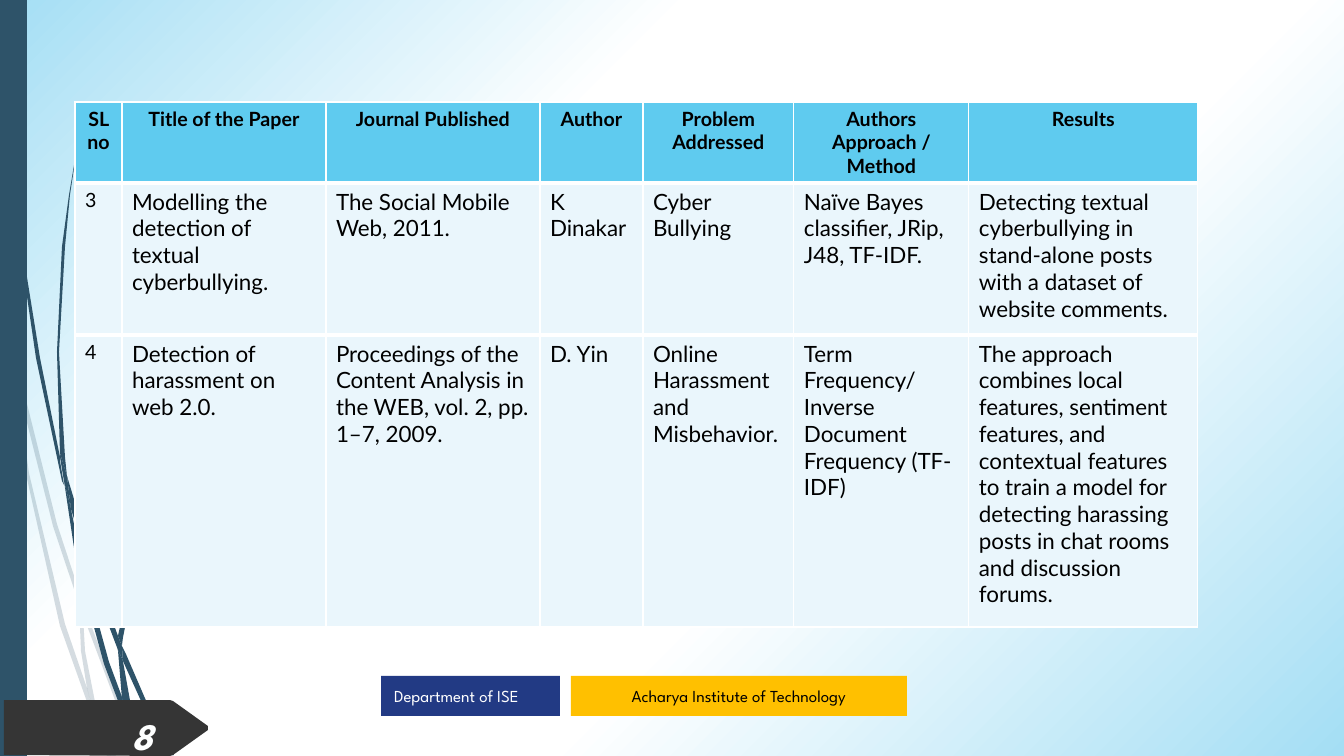
from lxml.etree import SubElement
from pptx import Presentation
from pptx.dml.color import RGBColor
from pptx.enum.shapes import MSO_SHAPE
from pptx.enum.text import MSO_ANCHOR as Anchor, PP_ALIGN as Align
from pptx.oxml.ns import qn
from pptx.util import Pt

EMU_PER_PX = 914400 / 100.8
COLORS = {
    "slate": "2E5369", "sky": "5FCBEF", "pale": "EAF6FC", "glow": "A4DEF4",
    "white": "FFFFFF", "black": "000000", "gold": "FFC000", "navy": "223A84",
    "charcoal": "353535", "number": "FEFFFF",
}
BODY_FONT, LABEL_FONT = "Lato", "League Spartan"

PALE_WISPS = [
    [(10, 353), (8, 325), (0, 284), (0, 301), (9, 347), (10, 351)],
    [(53, 526), (79, 604), (79, 591), (57, 524), (13, 348), (16, 379)],
    [(86, 612), (83, 601), (83, 615), (115, 700), (140, 756), (145, 756), (119, 698)],
    [(111, 756), (116, 756), (98, 717)],
    [(87, 688), (65, 624), (29, 473), (16, 379), (10, 353), (26, 474), (60, 626),
     (86, 699), (95, 720), (93, 713)],
    [(79, 604), (81, 651), (87, 688), (90, 698), (98, 717), (97, 712), (85, 651),
     (83, 615), (82, 613)],
    [(83, 589), (103, 466), (149, 352), (214, 247), (251, 200), (270, 176), (291, 154),
     (270, 176), (250, 199), (213, 246), (147, 351), (101, 465), (79, 589), (79, 591),
     (83, 601)],
    [(95, 720), (107, 756), (111, 756)],
    [(82, 613), (83, 615), (83, 601), (79, 591), (79, 604)],
    [(90, 698), (87, 688), (93, 713), (95, 720), (111, 756), (98, 717)],
]
DARK_WISPS = [
    [(7, 111), (18, 235), (36, 358), (62, 481), (64, 485), (60, 461), (60, 457),
     (40, 358), (20, 234), (8, 110), (5, 48), (4, 0), (3, 0), (4, 48)],
    [(98, 597), (118, 650), (118, 636), (103, 595), (67, 476), (71, 509)],
    [(126, 654), (122, 646), (123, 661), (147, 714), (169, 755), (174, 755), (151, 712)],
    [(122, 697), (109, 662), (81, 560), (71, 509), (64, 481), (76, 561), (104, 664),
     (123, 714), (130, 728), (129, 723)],
    [(67, 476), (65, 457), (59, 352), (65, 247), (70, 195), (78, 142), (69, 195),
     (62, 247), (57, 352), (60, 453)],
    [(148, 755), (151, 755), (135, 725)],
    [(64, 481), (71, 509), (67, 476), (60, 453), (60, 457)],
    [(123, 638), (139, 556), (176, 480), (228, 409), (257, 377), (273, 362), (290, 347),
     (272, 361), (257, 376), (227, 408), (173, 478), (136, 555), (118, 636), (122, 646)],
    [(130, 728), (141, 755), (145, 755)],
    [(118, 650), (122, 698), (129, 712), (135, 725), (134, 722), (123, 661), (121, 656)],
    [(118, 650), (121, 656), (123, 661), (122, 646), (118, 636)],
    [(129, 712), (122, 697), (129, 723), (130, 728), (145, 755), (148, 755), (135, 725)],
]
PAGE_TAG = [(208, 730), (173, 755), (170, 756), (4, 755), (4, 700), (170, 700),
            (173, 701), (208, 726)]

COLUMN_WIDTHS = [47, 204, 214, 103, 151, 175, 229]
ROW_HEIGHTS = [81, 152, 292]
PAPERS = [
    ["SL no", "Title of the Paper", "Journal Published", "Author", "Problem Addressed",
     "Authors Approach / Method", "Results"],
    ["3", "Modelling the detection of textual cyberbullying.",
     "The Social Mobile Web, 2011.", "K Dinakar", "Cyber Bullying",
     "Naïve Bayes classifier, JRip, J48, TF-IDF.",
     "Detecting textual\ncyberbullying in stand-alone posts with a dataset of "
     "website comments."],
    ["4", "Detection of harassment on web 2.0.",
     "Proceedings of the Content Analysis in the WEB, vol. 2, pp. 1–7, 2009.",
     "D. Yin", "Online Harassment and Misbehavior.",
     "Term\nFrequency/Inverse Document Frequency (TF-IDF)",
     "The approach combines local features, sentiment features, and contextual "
     "features to train a model for detecting harassing posts in chat rooms and "
     "discussion forums."],
]


def px(value):
    return round(value * EMU_PER_PX)


def rgb(name):
    return RGBColor.from_string(COLORS[name])


def write_text(frame, text, size, font, color="black", bold=False, italic=False,
               align=Align.LEFT):
    frame.word_wrap = True
    frame.text = text
    for paragraph in frame.paragraphs:
        paragraph.alignment = align
        for run in paragraph.runs:
            run.font.size, run.font.name = Pt(size), font
            run.font.bold, run.font.italic = bold, italic
            run.font.color.rgb = rgb(color)


def paint(shape, color):
    shape.shadow.inherit = False
    shape.fill.solid()
    shape.fill.fore_color.rgb = rgb(color)
    shape.line.fill.background()


def add_outline(slide, points, color, opacity=100):
    builder = slide.shapes.build_freeform(*points[0], scale=EMU_PER_PX)
    builder.add_line_segments(points[1:], close=True)
    shape = builder.convert_to_shape()
    paint(shape, color)
    if opacity < 100:
        tint = shape._element.spPr.find(qn("a:solidFill"))[0]
        SubElement(tint, qn("a:alpha")).set("val", str(opacity * 1000))


def add_bar(slide, left, top, width, height, color):
    shape = slide.shapes.add_shape(
        MSO_SHAPE.RECTANGLE, px(left), px(top), px(width), px(height))
    paint(shape, color)
    return shape


def add_label(slide, left, width, text, fill, **text_format):
    frame = add_bar(slide, left, 676, width, 40, fill).text_frame
    frame.margin_left = frame.margin_right = px(13)
    frame.margin_top = frame.margin_bottom = px(7)
    frame.vertical_anchor = Anchor.MIDDLE
    write_text(frame, text, 12, LABEL_FONT, **text_format)


def set_background(slide):
    slide.background.fill.gradient()
    gradient = slide._element.find(".//" + qn("a:gradFill"))
    stops = gradient.find(qn("a:gsLst"))
    for stop in list(stops):
        stops.remove(stop)
    for position, color in [(0, "glow"), (33, "white"), (62, "white"), (100, "glow")]:
        stop = SubElement(stops, qn("a:gs"))
        stop.set("pos", str(position * 1000))
        SubElement(stop, qn("a:srgbClr")).set("val", COLORS[color])
    gradient.find(qn("a:lin")).set("ang", str(45 * 60000))


def set_borders(cell, top, bottom):
    properties = cell._tc.get_or_add_tcPr()
    sides = [("a:lnL", 1), ("a:lnR", 1), ("a:lnT", top), ("a:lnB", bottom)]
    for index, (tag, width) in enumerate(sides):
        line = SubElement(properties, qn(tag))
        line.set("w", str(int(Pt(width))))
        fill = SubElement(line, qn("a:solidFill"))
        SubElement(fill, qn("a:srgbClr")).set("val", COLORS["white"])
        properties.insert(index, line)


def add_paper_table(slide):
    table = slide.shapes.add_table(
        len(PAPERS), len(COLUMN_WIDTHS), px(75), px(102),
        px(sum(COLUMN_WIDTHS)), px(sum(ROW_HEIGHTS))).table
    for column, width in zip(table.columns, COLUMN_WIDTHS):
        column.width = px(width)
    for row, height in zip(table.rows, ROW_HEIGHTS):
        row.height = px(height)
    last_row = len(PAPERS) - 1
    for row_index, texts in enumerate(PAPERS):
        header = row_index == 0
        for column_index, text in enumerate(texts):
            cell = table.cell(row_index, column_index)
            cell.fill.solid()
            cell.fill.fore_color.rgb = rgb("sky" if header else "pale")
            set_borders(cell, 1 if header else 3, 1 if row_index == last_row else 3)
            write_text(cell.text_frame, text, 14 if header or column_index == 0 else 16,
                       BODY_FONT, bold=header,
                       align=Align.CENTER if header else Align.LEFT)


def add_page_number(slide):
    box = slide.shapes.add_textbox(px(76), px(708), px(86), px(40))
    write_text(box.text_frame, "8", 26.7, LABEL_FONT, color="number", bold=True,
               italic=True, align=Align.RIGHT)


def main():
    presentation = Presentation()
    presentation.slide_width, presentation.slide_height = px(1344), px(756)
    slide = presentation.slides.add_slide(presentation.slide_layouts[6])
    set_background(slide)
    for points in PALE_WISPS:
        add_outline(slide, points, "slate", opacity=20)
    for points in DARK_WISPS:
        add_outline(slide, points, "slate")
    add_bar(slide, 0, 0, 27, 756, "slate")
    add_label(slide, 571, 336, "Acharya Institute of Technology", "gold",
              align=Align.CENTER)
    add_label(slide, 381, 179, "Department of ISE", "navy", color="white")
    add_outline(slide, PAGE_TAG, "charcoal")
    add_paper_table(slide)
    add_page_number(slide)
    presentation.save("out.pptx")


if __name__ == "__main__":
    main()
